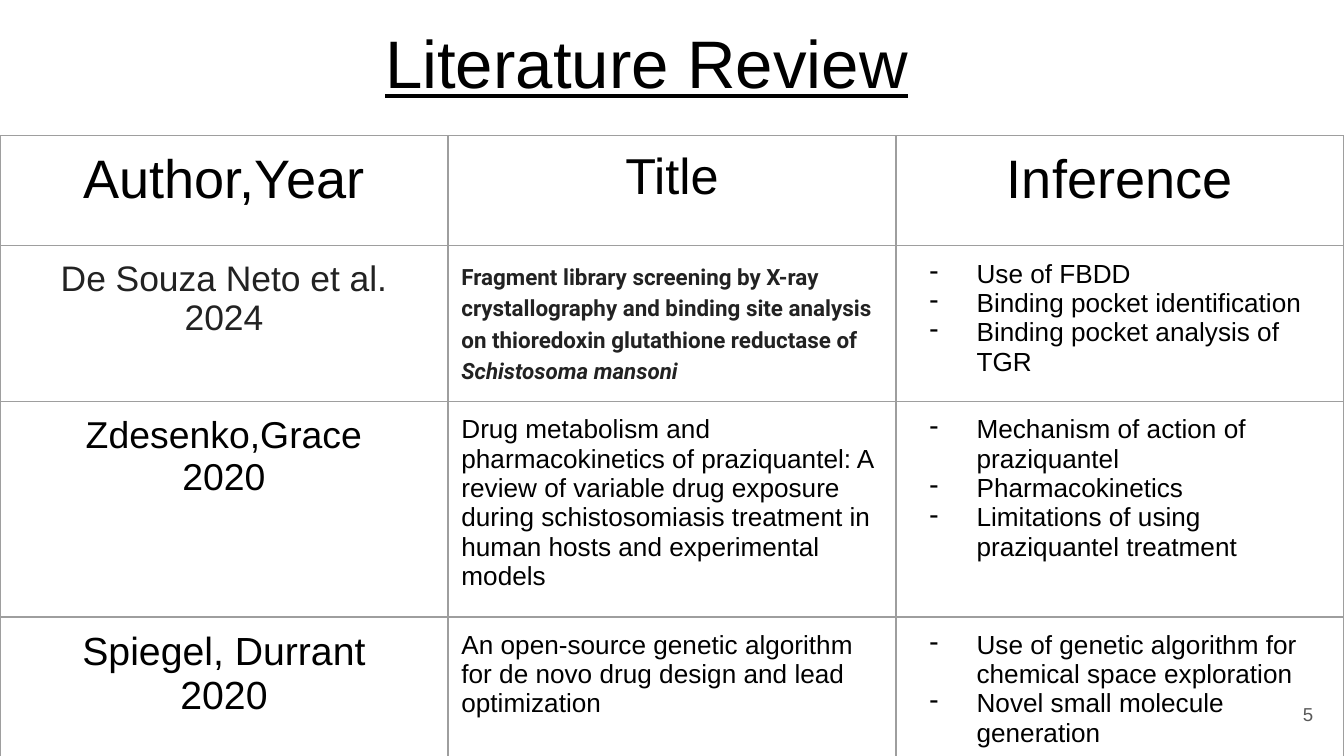
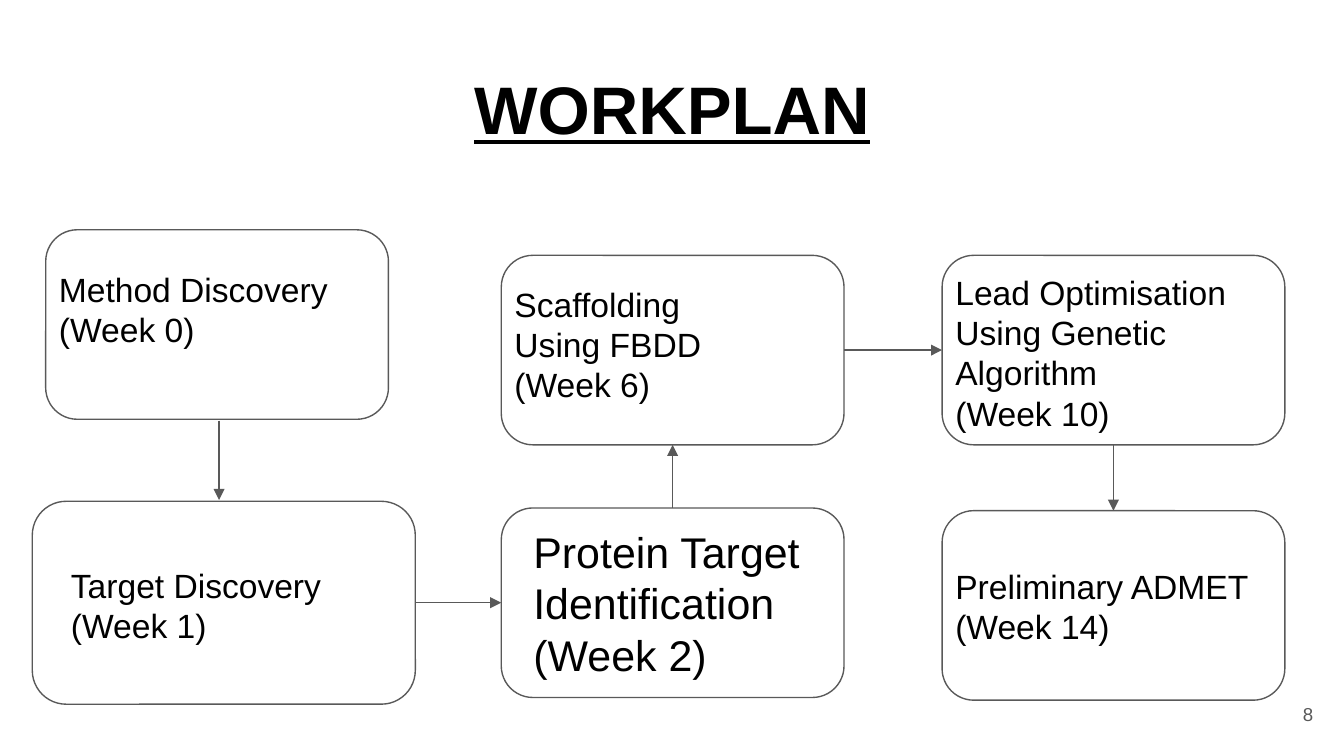
from lxml.etree import SubElement
from pptx import Presentation
from pptx.dml.color import RGBColor
from pptx.enum.shapes import MSO_CONNECTOR as Conn, MSO_SHAPE as Shape
from pptx.enum.text import MSO_ANCHOR as Anchor, PP_ALIGN as Align
from pptx.oxml.ns import qn
from pptx.util import Inches, Pt

BLACK, INK, GREY, RULE = "000000", "222222", "595959", "9E9E9E"
PAD = Inches(0.1)
TOP, LEFT, BOTTOM, RIGHT = range(4)

HEADS = [("Author,Year", 29), ("Title", 27), ("Inference", 29)]
# author lines, size, colour, title, inferences
PAPERS = [
    (["De Souza Neto et al.", "2024"], 19, INK, None,
     ["Use of FBDD", "Binding pocket identification",
      "Binding pocket analysis of TGR"]),
    (["Zdesenko,Grace", "2020"], 20, BLACK,
     "Drug metabolism and pharmacokinetics of praziquantel: A review of "
     "variable drug exposure during schistosomiasis treatment in human "
     "hosts and experimental models",
     ["Mechanism of action of praziquantel", "Pharmacokinetics",
      "Limitations of using praziquantel treatment"]),
    (["Spiegel, Durrant", "2020"], 21, BLACK,
     "An open-source genetic algorithm for de novo drug design and lead "
     "optimization",
     ["Use of genetic algorithm for chemical space exploration",
      "Novel small molecule generation"]),
]
FRAGMENT = ("Fragment library screening by X-ray crystallography and binding "
            "site analysis on thioredoxin glutathione reductase of ")

SIZE = (2.55, 1.41)
# box corner, box size, label place and size, label lines, text size
STEPS = [
    ((0.34, 1.71), SIZE, (0.34, 1.9, 6.52, 1.11),
     ["Method Discovery", "(Week 0)"], 18),
    ((0.24, 3.73), (2.85, 1.51), (0.43, 4.1, 3.1, 1.11),
     ["Target Discovery", "(Week 1)"], 18),
    ((3.73, 3.78), SIZE, (3.87, 3.81, 2.27, 1.36),
     ["Protein Target", "Identification", "(Week 2)"], 23),
    ((3.73, 1.9), SIZE, (3.73, 2.01, 5.74, 1.11),
     ["Scaffolding", "Using FBDD", "(Week 6)"], 18),
    ((7.01, 1.9), SIZE, (7.01, 1.92, 2.68, 1.41),
     ["Lead Optimisation", "Using Genetic Algorithm", "(Week 10)"], 18),
    ((7.01, 3.8), SIZE, (7.01, 4.11, 2.83, 0.81),
     ["Preliminary ADMET", "(Week 14)"], 18),
]
# the first two boxes differ in centre, so their arrow is placed freely
DROP = (1.63, 3.13, 1.63, 3.72)
# sides that each later arrow leaves and enters, from step to step
TURNS = [(RIGHT, LEFT), (TOP, BOTTOM), (RIGHT, LEFT), (BOTTOM, TOP)]


def rgb(code):
    return RGBColor.from_string(code)


def add_run(para, text, size, color=BLACK, face="Arial", bold=False,
            italic=False, under=False):
    run = para.add_run()
    run.text = text
    font = run.font
    font.size, font.name = Pt(size), face
    font.bold, font.italic, font.underline = bold, italic, under
    font.color.rgb = rgb(color)


def add_dash(para):
    """Give the paragraph a hanging dash bullet."""
    props = para._p.get_or_add_pPr()
    props.set("marL", str(Inches(0.5)))
    props.set("indent", str(-Inches(0.35)))
    tint = SubElement(props, qn("a:buClr"))
    SubElement(tint, qn("a:srgbClr"), val=BLACK)
    SubElement(props, qn("a:buChar"), char="-")


def close(para, size):
    """Size the paragraph mark, which sets bullet and row height."""
    SubElement(para._p, qn("a:endParaRPr"), sz=str(size * 100))


def write(frame, lines, size, align=Align.LEFT, dash=False, **style):
    """Fill a text frame with one paragraph for each line."""
    for i, line in enumerate(lines):
        para = frame.add_paragraph() if i else frame.paragraphs[0]
        if dash:
            add_dash(para)
        para.alignment = align
        add_run(para, line, size, **style)
        close(para, size)


def add_text(slide, place, lines, size, anchor=Anchor.TOP, **style):
    box = slide.shapes.add_textbox(*map(Inches, place))
    frame = box.text_frame
    frame.word_wrap = True
    frame.vertical_anchor = anchor
    frame.margin_left = frame.margin_right = PAD
    frame.margin_top = frame.margin_bottom = PAD
    write(frame, lines, size, **style)


def add_slide(deck, title, corner, page, bold=False):
    """Start a slide with its underlined title and its page number."""
    slide = deck.slides.add_slide(deck.slide_layouts[6])
    add_text(slide, (*corner, 9.32, 0.92), [title], 36, Anchor.MIDDLE,
             align=Align.CENTER, bold=bold, under=True)
    add_text(slide, (9.27, 5.1, 0.6, 0.43), [page], 10, Anchor.MIDDLE,
             align=Align.RIGHT, color=GREY)
    return slide


def style_cell(cell):
    cell.margin_left = cell.margin_right = PAD
    cell.margin_top = cell.margin_bottom = PAD
    props = cell._tc.get_or_add_tcPr()
    for side in "LRTB":
        edge = SubElement(props, qn(f"a:ln{side}"), w=str(Pt(0.75)))
        fill = SubElement(edge, qn("a:solidFill"))
        SubElement(fill, qn("a:srgbClr"), val=RULE)
    cell.fill.background()


def add_papers(slide):
    rows = len(PAPERS) + 1
    grid = slide.shapes.add_table(rows, 3, 0, Inches(1.01), Inches(10),
                                  Inches(0.82 * rows)).table
    grid.first_row = grid.horz_banding = False
    for cell in grid.iter_cells():
        style_cell(cell)
    for col, (head, size) in enumerate(HEADS):
        write(grid.cell(0, col).text_frame, [head], size, Align.CENTER)
    for row, (names, size, color, title, notes) in enumerate(PAPERS, 1):
        who, what, why = (grid.cell(row, col).text_frame for col in range(3))
        write(who, names, size, Align.CENTER, color=color)
        if title:
            write(what, [title], 14)
        else:
            write_fragment(what.paragraphs[0])
        write(why, notes, 14, dash=True)


def write_fragment(para):
    para.line_spacing = 1.2
    para.space_after = Pt(12)
    look = dict(size=12, color=INK, face="Roboto", bold=True)
    add_run(para, FRAGMENT, **look)
    add_run(para, "Schistosoma mansoni", italic=True, **look)
    close(para, 12)


def add_box(slide, corner, size):
    box = slide.shapes.add_shape(Shape.ROUNDED_RECTANGLE,
                                 *map(Inches, corner + size))
    box.shadow.inherit = False
    box.fill.background()
    box.line.color.rgb = rgb(GREY)
    box.line.width = Pt(0.75)
    return box


def add_arrow(slide, ends=(0, 0, 0, 0)):
    arrow = slide.shapes.add_connector(Conn.STRAIGHT, *map(Inches, ends))
    arrow.line.color.rgb = rgb(GREY)
    arrow.line.width = Pt(0.75)
    SubElement(arrow.line._get_or_add_ln(), qn("a:tailEnd"), type="triangle")
    SubElement(arrow._element.spPr, qn("a:effectLst"))
    return arrow


def add_plan(slide):
    boxes = [add_box(slide, corner, size) for corner, size, *_ in STEPS]
    add_arrow(slide, DROP)
    for start, end, (out, into) in zip(boxes[1:], boxes[2:], TURNS):
        arrow = add_arrow(slide)
        arrow.begin_connect(start, out)
        arrow.end_connect(end, into)
    for _, _, place, lines, size in STEPS:
        add_text(slide, place, lines, size)


def main():
    deck = Presentation()
    deck.slide_width = Inches(10)
    deck.slide_height = deck.slide_width * 9 // 16
    add_papers(add_slide(deck, "Literature Review", (0.15, 0), "5"))
    add_plan(add_slide(deck, "WORKPLAN", (0.34, 0.34), "8", bold=True))
    deck.save("out.pptx")


if __name__ == "__main__":
    main()
